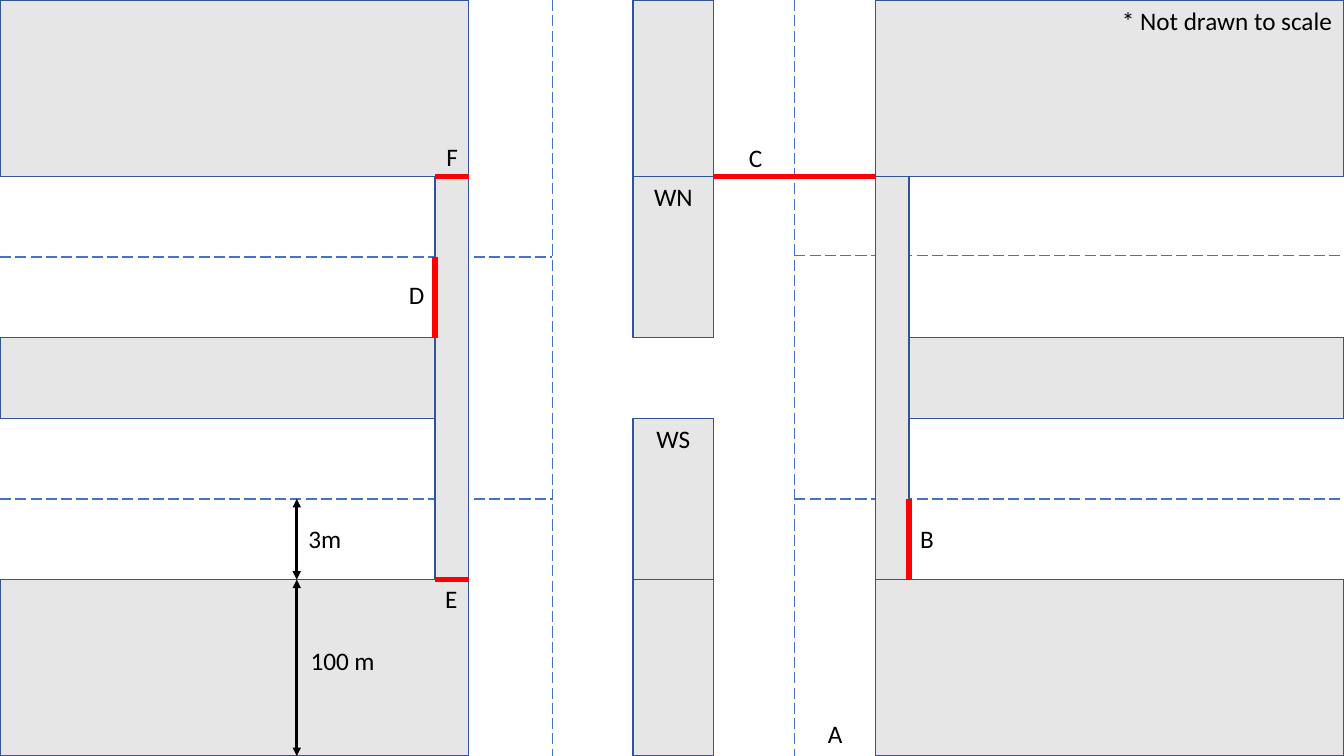
"""Draw a road junction with medians, crossings and labelled stop lines."""
from dataclasses import dataclass

from lxml.etree import SubElement
from pptx import Presentation
from pptx.dml.color import RGBColor
from pptx.enum.dml import MSO_LINE_DASH_STYLE as Dash
from pptx.enum.shapes import MSO_CONNECTOR as Connector, MSO_SHAPE as Shape
from pptx.enum.text import MSO_ANCHOR as Anchor, PP_ALIGN as Align
from pptx.oxml.ns import qn
from pptx.slide import Slide
from pptx.text.text import TextFrame
from pptx.util import Pt

GREY = RGBColor(0xE7, 0xE6, 0xE6)
NAVY = RGBColor(0x32, 0x54, 0x91)
BLUE = RGBColor(0x44, 0x72, 0xC4)
RED = RGBColor(0xFF, 0, 0)
BLACK = RGBColor(0, 0, 0)

WIDTH, HEIGHT = 960, 540
LANE = 57.6
BLOCK_W, BLOCK_H = 334.8, 126
CROSSING_W = 24
RIGHT = WIDTH - BLOCK_W
BOTTOM = HEIGHT - BLOCK_H
ROWS = [BLOCK_H + LANE * step for step in range(6)]
MEDIAN_X = 452.2
MEDIAN_END = MEDIAN_X + LANE
WEST_LANE, EAST_LANE = MEDIAN_X - LANE, MEDIAN_END + LANE
WEST_CURB, EAST_CURB = BLOCK_W - CROSSING_W, RIGHT + CROSSING_W
ARROW_X = 212


@dataclass
class Area:
    left: float
    top: float
    width: float
    height: float
    text: str = ""


@dataclass
class Stroke:
    x1: float
    y1: float
    x2: float
    y2: float


@dataclass
class Label:
    text: str
    left: float
    top: float
    width: float = 35.3
    align: Align = Align.CENTER


def write(frame: TextFrame, text: str, align: Align) -> None:
    """Put one line of black text at the top of a frame."""
    frame.word_wrap = True
    frame.vertical_anchor = Anchor.TOP
    frame.margin_left = frame.margin_right = 0
    para = frame.paragraphs[0]
    para.text = text
    para.alignment = align
    para.font.name = "Calibri"
    para.font.size = Pt(18)
    para.font.color.rgb = BLACK


def draw_area(page: Slide, area: Area) -> None:
    """Draw a grey block, median or crossing."""
    box = page.shapes.add_shape(Shape.RECTANGLE, Pt(area.left), Pt(area.top),
                                Pt(area.width), Pt(area.height))
    box.shadow.inherit = False
    box.fill.solid()
    box.fill.fore_color.rgb = GREY
    box.line.color.rgb = NAVY
    box.line.width = Pt(1)
    if area.text:
        write(box.text_frame, area.text, Align.CENTER)


def draw_stroke(page: Slide, stroke: Stroke, color: RGBColor, weight: float,
                dash: Dash | None = None, arrows: bool = False) -> None:
    """Draw a straight line, optionally dashed or with two arrowheads."""
    line = page.shapes.add_connector(Connector.STRAIGHT, Pt(stroke.x1), Pt(stroke.y1),
                                     Pt(stroke.x2), Pt(stroke.y2))
    line.line.color.rgb = color
    line.line.width = Pt(weight)
    if dash:
        line.line.dash_style = dash
    if arrows:
        for end in ("a:headEnd", "a:tailEnd"):
            SubElement(line.line._get_or_add_ln(), qn(end), type="triangle")
    SubElement(line._element.spPr, qn("a:effectLst"))


def draw_label(page: Slide, label: Label) -> None:
    """Draw a free-standing text label."""
    box = page.shapes.add_textbox(Pt(label.left), Pt(label.top), Pt(label.width), Pt(30))
    write(box.text_frame, label.text, label.align)


BLOCKS = [Area(left, top, width, BLOCK_H)
          for left, width in ((0, BLOCK_W), (MEDIAN_X, LANE), (RIGHT, BLOCK_W))
          for top in (0, BOTTOM)]
MEDIANS = [Area(left, ROWS[2], BLOCK_W, LANE) for left in (0, RIGHT)]
REFUGES = [Area(MEDIAN_X, ROWS[0], LANE, 2 * LANE, "WN"),
           Area(MEDIAN_X, ROWS[3], LANE, 2 * LANE, "WS")]
CROSSINGS = [Area(left, ROWS[0], CROSSING_W, 5 * LANE) for left in (WEST_CURB, RIGHT)]

LANE_LINES = [Stroke(x, 0, x, HEIGHT) for x in (WEST_LANE, EAST_LANE)]
LANE_LINES += [Stroke(start, y, end, y)
               for start, end, rows in ((0, WEST_LANE, (ROWS[1], ROWS[4])),
                                        (EAST_LANE, WIDTH, (182.4, ROWS[4])))
               for y in rows]
DIMENSIONS = [Stroke(ARROW_X, ROWS[4], ARROW_X, BOTTOM),
              Stroke(ARROW_X, BOTTOM, ARROW_X, HEIGHT)]
STOP_LINES = [
    Stroke(MEDIAN_END, ROWS[0], RIGHT, ROWS[0]),
    Stroke(EAST_CURB, ROWS[4], EAST_CURB, BOTTOM),
    Stroke(WEST_CURB, ROWS[1], WEST_CURB, ROWS[2]),
    Stroke(WEST_CURB, BOTTOM, BLOCK_W, BOTTOM),
    Stroke(WEST_CURB, ROWS[0], BLOCK_W, ROWS[0]),
]
LABELS = [
    Label("A", 578.9, 509.8),
    Label("B", 644.4, 370),
    Label("C", 522, 97.9),
    Label("D", 280, 195.8),
    Label("E", 304.6, 413.3),
    Label("F", 305.3, 97.2),
    Label("3m", 220.3, 370, 42, Align.LEFT),
    Label("100 m", 221.8, 457.2, 57, Align.LEFT),
    Label("* Not drawn to scale", 801.4, 0, 158, Align.LEFT),
]

deck = Presentation()
deck.slide_width, deck.slide_height = Pt(WIDTH), Pt(HEIGHT)
page = deck.slides.add_slide(deck.slide_layouts[6])

for area in BLOCKS + MEDIANS:
    draw_area(page, area)
for stroke in LANE_LINES:
    draw_stroke(page, stroke, BLUE, 1, dash=Dash.LONG_DASH)
for area in REFUGES + CROSSINGS:
    draw_area(page, area)
for stroke in DIMENSIONS:
    draw_stroke(page, stroke, BLACK, 2, arrows=True)
for stroke in STOP_LINES:
    draw_stroke(page, stroke, RED, 4)
for label in LABELS:
    draw_label(page, label)

deck.save("out.pptx")
